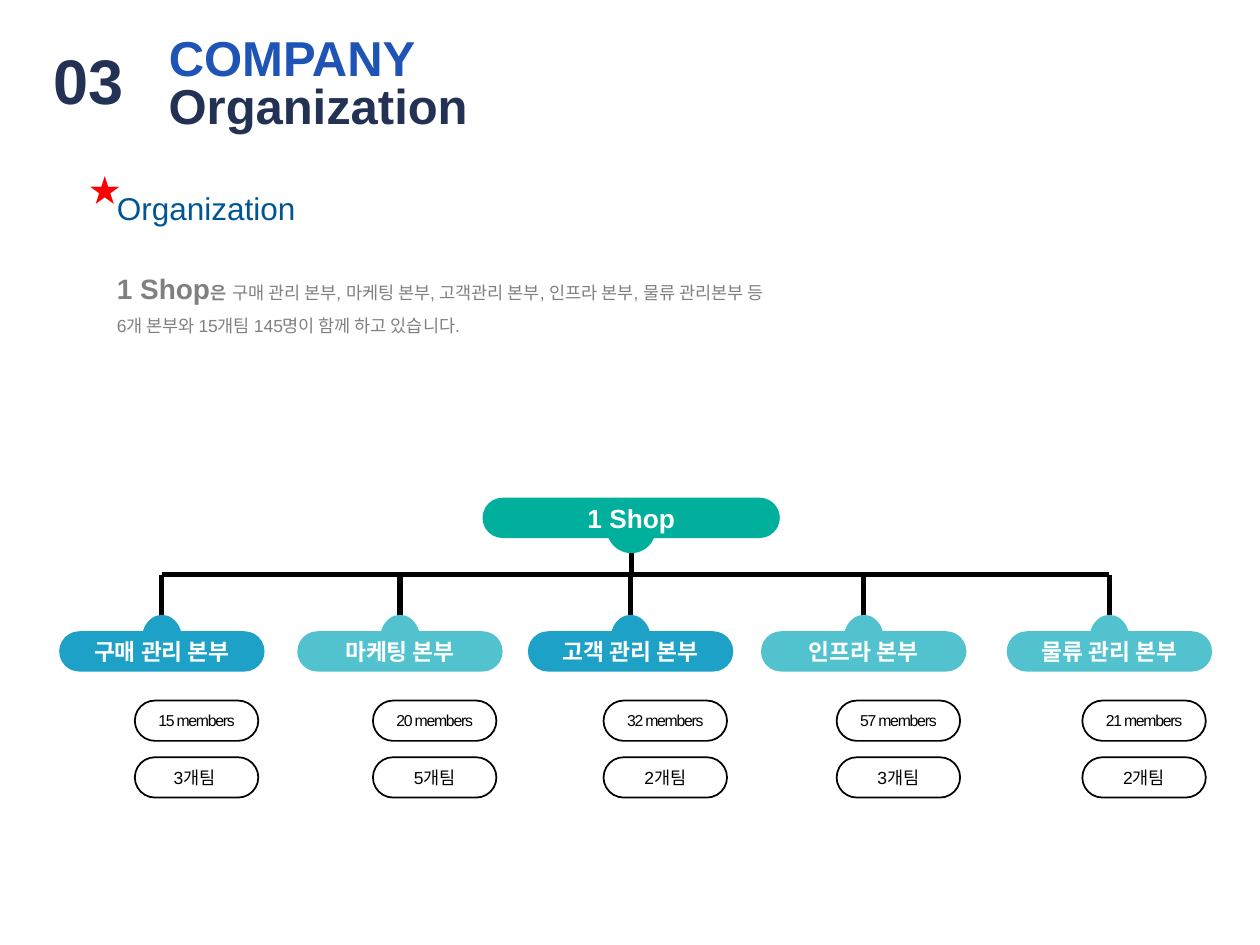
from lxml.etree import SubElement
from pptx import Presentation
from pptx.dml.color import RGBColor
from pptx.enum.shapes import MSO_CONNECTOR as Connector, MSO_SHAPE as Shape
from pptx.enum.text import MSO_ANCHOR as Anchor, PP_ALIGN as Align
from pptx.oxml.ns import qn
from pptx.util import Inches, Pt

COLORS = {
    "black": "000000", "white": "FFFFFF", "navy": "233154", "blue": "1E54B5",
    "heading": "005694", "gray": "808080", "red": "FF0000",
    "green": "00B09C", "azure": "1DA1C7", "aqua": "52C2CE",
}
KOREAN_FONT = "Noto Sans CJK KR"
DIVISIONS = [
    (0.47, "구매 관리 본부", "azure", "15 members", "3개팀 "),
    (2.36, "마케팅 본부", "aqua", "20 members", "5개팀"),
    (4.19, "고객 관리 본부", "azure", "32 members", "2개팀"),
    (6.04, "인프라 본부", "aqua", "57 members", "3개팀"),
    (7.99, "물류 관리 본부", "aqua", "21 members", "2개팀"),
]
DIVISION_WIDTH, PILL_HEIGHT = 1.63, 0.32
BAR_Y, DIVISION_Y = 4.56, 5.01
ROOT_CENTER = 5.01


def rgb(color):
    """Return the named colour."""
    return RGBColor.from_string(COLORS[color])


def style_font(font, size, color, bold=False, name="Arial"):
    """Set the Latin and Korean typefaces, size, colour and weight."""
    font.size, font.bold, font.name = Pt(size), bold, name
    font.color.rgb = rgb(color)
    SubElement(font._element, qn("a:ea"), typeface=KOREAN_FONT)


def add_line(slide, start_x, start_y, end_x, end_y):
    """Draw one branch of the chart."""
    branch = slide.shapes.add_connector(
        Connector.STRAIGHT, Inches(start_x), Inches(start_y), Inches(end_x), Inches(end_y))
    branch.line.color.rgb = rgb("black")
    branch.line.width = Pt(3)
    SubElement(branch._element.spPr, qn("a:effectLst"))


def add_filled(slide, kind, left, top, width, height, fill):
    """Add a flat shape without outline."""
    shape = slide.shapes.add_shape(
        kind, Inches(left), Inches(top), Inches(width), Inches(height))
    shape.shadow.inherit = False
    shape.fill.solid()
    shape.fill.fore_color.rgb = rgb(fill)
    shape.line.fill.background()
    return shape


def add_knob(slide, center, top, width, height, fill):
    """Add the round joint between a branch and its pill."""
    add_filled(slide, Shape.OVAL, center - width / 2, top, width, height, fill)


def add_pill(slide, left, top, width, text, fill, size, color="white", bold=False):
    """Add a fully rounded label with centred text."""
    pill = add_filled(slide, Shape.ROUNDED_RECTANGLE, left, top, width, PILL_HEIGHT, fill)
    pill.adjustments[0] = 0.5
    pill.text_frame.vertical_anchor = Anchor.MIDDLE
    label = pill.text_frame.paragraphs[0]
    label.text = text
    label.alignment = Align.CENTER
    style_font(label.font, size, color, bold)
    return pill


def add_badge(slide, left, top, text, size):
    """Add an outlined pill that holds a head count or team count."""
    badge = add_pill(slide, left, top, 0.98, text, "white", size, "black")
    badge.line.color.rgb = rgb("black")
    badge.line.width = Pt(1)
    return badge


def add_text(slide, left, top, width, height, text, size, color, bold=False,
             name="Arial", align=Align.LEFT):
    """Add a single line of text."""
    box = slide.shapes.add_textbox(Inches(left), Inches(top), Inches(width), Inches(height))
    line = box.text_frame.paragraphs[0]
    line.text = text
    line.alignment = align
    style_font(line.font, size, color, bold, name)


def add_title(slide, text):
    """Place and format the title placeholder."""
    title = slide.shapes.title
    title.left, title.top = Inches(1.24), Inches(0.17)
    title.width, title.height = Inches(2.18), Inches(0.57)
    title.text_frame.word_wrap = False
    title.text_frame.vertical_anchor = Anchor.TOP
    heading = title.text_frame.paragraphs[0]
    heading.text = text
    heading.alignment = Align.LEFT
    style_font(heading.font, 28, "blue", True)


def add_summary(slide):
    """Add the introduction, which opens with the emphasised shop name."""
    box = slide.shapes.add_textbox(Inches(0.83), Inches(1.97), Inches(8.27), Inches(0.76))
    box.text_frame.word_wrap = True
    intro = box.text_frame.paragraphs[0]
    for text, size, bold in [
        ("1 Shop", 16, True), ("은", 10, True), (" ", 16, True),
        ("구매 관리 본부, 마케팅 본부, 고객관리 본부, 인프라 본부, 물류 관리본부 등", 10, False),
    ]:
        part = intro.add_run()
        part.text = text
        style_font(part.font, size, "gray", bold)
    totals = box.text_frame.add_paragraph()
    totals.text = "6개 본부와 15개팀 145명이 함께 하고 있습니다."
    style_font(totals.font, 10, "gray")
    intro.line_spacing = totals.line_spacing = 1.5


def add_division(slide, left, name, fill, members, teams):
    """Add a division with its branch, head count and team count."""
    center = left + DIVISION_WIDTH / 2
    add_line(slide, center, BAR_Y, center, 4.95)
    add_knob(slide, center, 4.88, 0.32, 0.39, fill)
    add_pill(slide, left, DIVISION_Y, DIVISION_WIDTH, name, fill, 13, bold=True)
    head_count = add_badge(slide, left + 0.6, 5.56, members, 9)
    head_count.text_frame.paragraphs[0].runs[0].font._element.set("spc", "-70")
    add_badge(slide, left + 0.6, 6.01, teams, 10)


def main():
    """Build the organization slide."""
    deck = Presentation()
    deck.slide_width, deck.slide_height = Inches(10), Inches(7.5)
    slide = deck.slides.add_slide(deck.slide_layouts[5])

    add_title(slide, "COMPANY")
    add_text(slide, 1.24, 0.55, 2.61, 0.57, "Organization", 28, "navy", True)
    add_text(slide, 0.18, 0.28, 1.05, 0.71, "03", 36, "navy", True, align=Align.CENTER)
    add_text(slide, 0.61, 1.31, 0.44, 0.4, "★", 18, "red", name=KOREAN_FONT)
    add_text(slide, 0.83, 1.45, 1.67, 0.4, "Organization", 18, "heading")
    add_summary(slide)

    add_line(slide, ROOT_CENTER, 4.18, ROOT_CENTER, BAR_Y)
    add_knob(slide, ROOT_CENTER, 4, 0.39, 0.39, "green")
    add_pill(slide, 3.83, 3.95, 2.36, "1 Shop", "green", 15, bold=True)
    first_center, last_center = (
        DIVISIONS[end][0] + DIVISION_WIDTH / 2 for end in (0, -1))
    add_line(slide, first_center, BAR_Y, last_center, BAR_Y)
    for division in DIVISIONS:
        add_division(slide, *division)

    deck.save("out.pptx")


if __name__ == "__main__":
    main()
